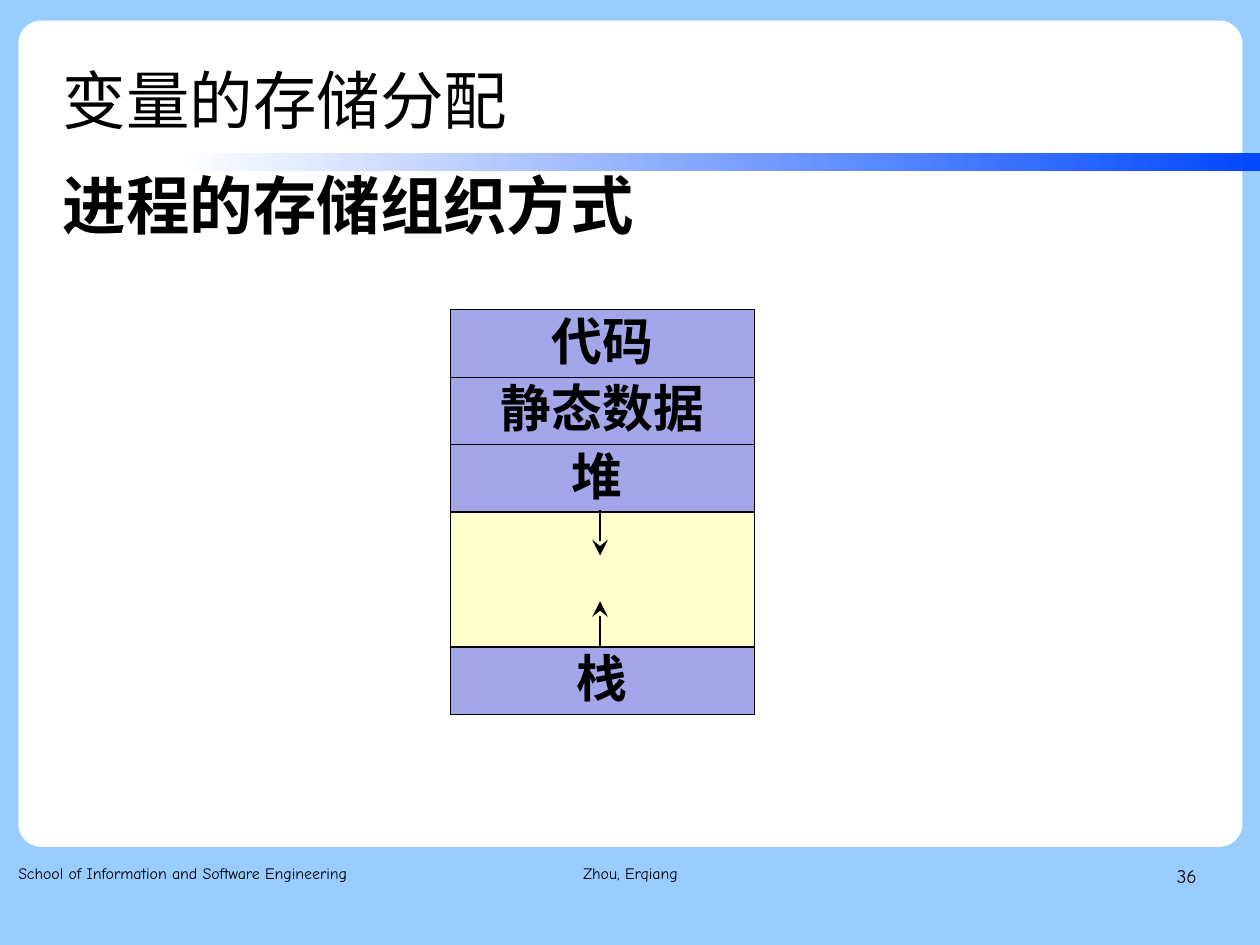
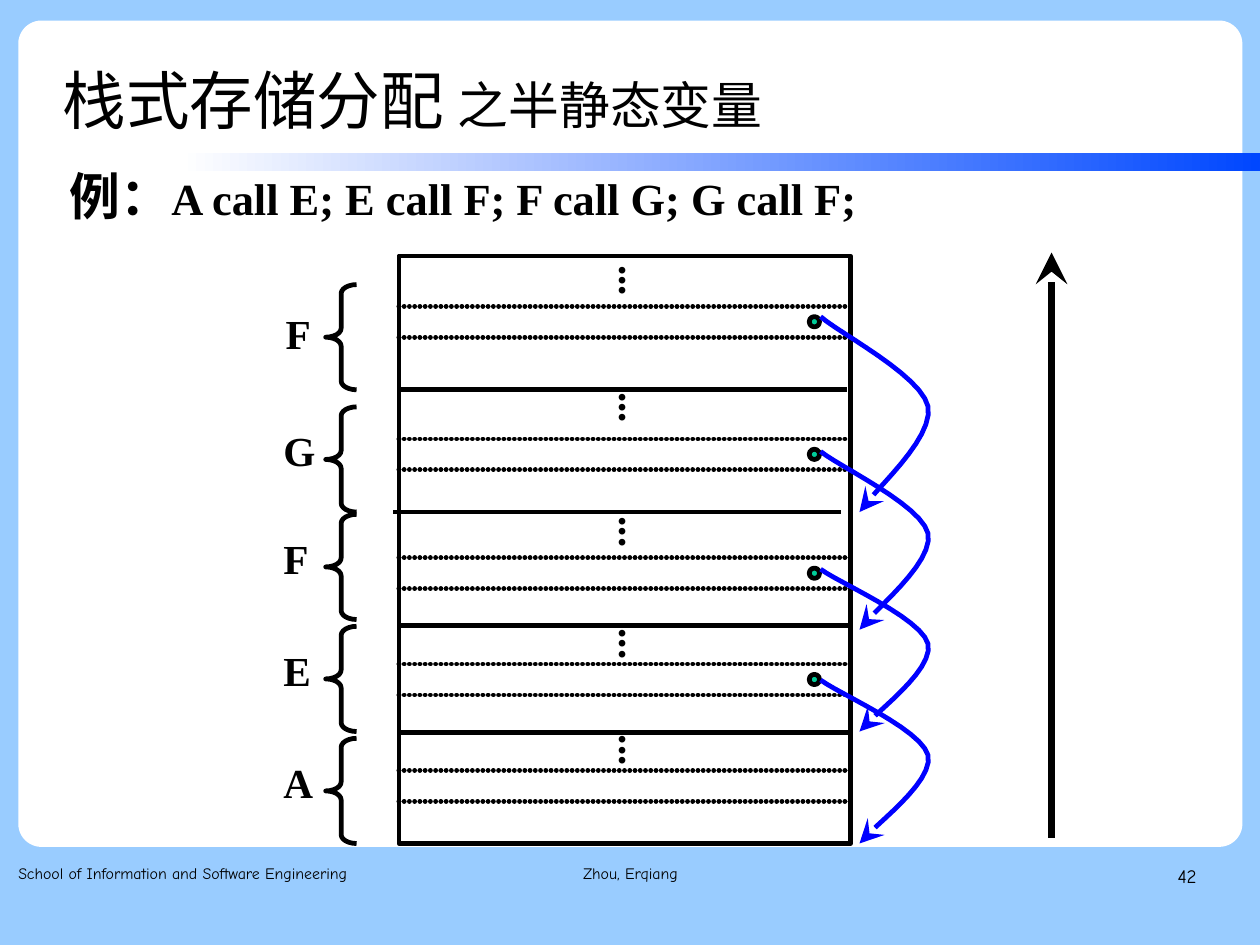
from lxml import etree
from pptx import Presentation
from pptx.dml.color import RGBColor
from pptx.enum.shapes import MSO_CONNECTOR, MSO_SHAPE
from pptx.enum.text import MSO_ANCHOR, PP_ALIGN
from pptx.oxml.ns import qn
from pptx.util import Inches, Pt

RECT, ROUNDED = MSO_SHAPE.RECTANGLE, MSO_SHAPE.ROUNDED_RECTANGLE
BRACE, OVAL = MSO_SHAPE.LEFT_BRACE, MSO_SHAPE.OVAL
STRAIGHT = MSO_CONNECTOR.STRAIGHT
LEFT, CENTER, RIGHT = PP_ALIGN.LEFT, PP_ALIGN.CENTER, PP_ALIGN.RIGHT
TOP, MIDDLE = MSO_ANCHOR.TOP, MSO_ANCHOR.MIDDLE

CM_PER_INCH = 2.54
COLORS = {
    "background": "99CCFF", "panel": "FFFFFF", "band": "0047FF",
    "ink": "000000", "segment": "A5A5E9", "free": "FFFFCC",
    "pointer": "00CC99", "link": "0000FF",
}
CJK, SERIF, TITLE_FONT, FOOTER_FONT = (
    "Noto Sans CJK SC", "Times New Roman", "Arial", "Comic Neue")


def rgb(name):
    return RGBColor.from_string(COLORS[name])


def write(shape, runs, align=LEFT, anchor=TOP, margins=(0, 0), spacing=1.0,
          wrap=True, bold=False):
    """Fill a shape with one paragraph of (text, size, font) runs."""
    frame = shape.text_frame
    frame.word_wrap = wrap
    frame.vertical_anchor = anchor
    frame.margin_left = frame.margin_right = Inches(margins[0])
    frame.margin_top = frame.margin_bottom = Inches(margins[1])
    paragraph = frame.paragraphs[0]
    paragraph.alignment = align
    paragraph.line_spacing = spacing
    for text, size, font in runs:
        run = paragraph.add_run()
        run.text = text
        run.font.size, run.font.name, run.font.bold = Pt(size), font, bold
        run.font.color.rgb = rgb("ink")
        east_asian = etree.SubElement(run.font._element, qn("a:ea"))
        east_asian.set("typeface", CJK)


def add_text(slide, box, runs, **style):
    label = slide.shapes.add_textbox(*map(Inches, box))
    write(label, runs, **style)
    return label


def set_line(shape, color, width):
    shape.line.color.rgb = rgb(color)
    shape.line.width = Pt(width)


def add_block(slide, kind, box, fill=None, width=None):
    block = slide.shapes.add_shape(kind, *map(Inches, box))
    block.shadow.inherit = False
    if fill:
        block.fill.solid()
        block.fill.fore_color.rgb = rgb(fill)
    else:
        block.fill.background()
    if width:
        set_line(block, "ink", width)
    else:
        block.line.fill.background()
    return block


def add_arrowhead(shape):
    outline = shape._element.spPr.find(qn("a:ln"))
    etree.SubElement(outline, qn("a:tailEnd"), type="stealth", w="lg", len="lg")


def add_dots(line):
    """Give a line closely set round dots."""
    outline = line._element.spPr.find(qn("a:ln"))
    outline.set("cap", "rnd")
    dashes = etree.SubElement(outline, qn("a:custDash"))
    etree.SubElement(dashes, qn("a:ds"), d="100000", sp="10000")


def add_line(slide, start, end, width, dotted=False, arrow=False):
    line = slide.shapes.add_connector(STRAIGHT, *map(Inches, (*start, *end)))
    set_line(line, "ink", width)
    if dotted:
        add_dots(line)
    if arrow:
        add_arrowhead(line)
    etree.SubElement(line._element.spPr, qn("a:effectLst"))


def base_slide(prs, title_runs, number):
    """Add a slide with the shared panel, band, title and footer."""
    slide = prs.slides.add_slide(prs.slide_layouts[6])
    slide.background.fill.solid()
    slide.background.fill.fore_color.rgb = rgb("background")
    panel = add_block(slide, ROUNDED, (0.16, 0.18, 10.71, 7.23), "panel")
    panel.adjustments[0] = 0.028

    band = add_block(slide, RECT, (1.57, 1.34, 9.45, 0.16))
    band.fill.gradient()
    band.fill.gradient_angle = 0
    for stop, position, color in zip(band.fill.gradient_stops, (0, 1), ("panel", "band")):
        stop.position = position
        stop.color.rgb = rgb(color)

    add_text(slide, (0.55, 0.33, 8.58, 1.01),
             [(text, size, TITLE_FONT) for text, size in title_runs],
             anchor=MIDDLE, spacing=1.1)
    footers = (
        (0.16, 3.38, "School of Information and Software Engineering", 10, LEFT),
        (3.77, 3.49, "Zhou, Erqiang", 10, CENTER),
        (7.9, 2.57, str(number), 12, RIGHT),
    )
    for left, width, text, size, align in footers:
        add_text(slide, (left, 7.53, width, 0.57), [(text, size, FOOTER_FONT)],
                 align=align, spacing=1.16)
    return slide


def memory_map(slide, left, top, width, height):
    """Draw process memory as six rows, with heap and stack growing together."""
    row = height / 6
    add_block(slide, RECT, (left, top, width, height), "free", 0.75)
    for index, name in ((0, "代码"), (1, "静态数据"), (2, "堆 "), (5, "栈")):
        segment = add_block(slide, RECT, (left, top + index * row, width, row),
                            "segment", 0.75)
        write(segment, [(name, 32, SERIF)], align=CENTER, anchor=MIDDLE,
              margins=(0.1, 0.05), spacing=0.93, bold=True)
    middle = left + width / 2 - 0.02
    for start, step in ((top + 3 * row - 0.02, 0.4), (top + 5 * row, -0.4)):
        add_line(slide, (middle, start), (middle, start + step), 1.75, arrow=True)


def call_link(slide, left, top, height):
    """Draw an arrow bulging to the right, from two cubic curves."""
    knots = ((0, 0), (0.15, 0.08), (0.88, 0.3), (0.94, 0.46),
             (0.99, 0.63), (0.46, 0.89), (0.34, 1))
    points = []
    for first in (0, 3):
        for step in range(13):
            t = step / 12
            weights = ((1 - t) ** 3, 3 * t * (1 - t) ** 2, 3 * t * t * (1 - t), t ** 3)
            x, y = (sum(w * knot[axis] for w, knot in zip(weights, knots[first:first + 4]))
                    for axis in (0, 1))
            points.append((Inches(left + x), Inches(top + y * height)))
    builder = slide.shapes.build_freeform(*points[0])
    builder.add_line_segments(points[1:], close=False)
    link = builder.convert_to_shape()
    link.shadow.inherit = False
    link.fill.background()
    set_line(link, "link", 3)
    add_arrowhead(link)


def call_stack(slide, left, top, width, height):
    """Draw the frames; each row gives offsets from the top of the stack."""
    add_block(slide, RECT, (left, top, width, height), width=3)
    # name, label x, brace, label y, ellipsis, first dotted line, base line, shift, length
    frames = (
        ("F", -1.1, 0.25, 0.44, -0.03, 0.44, 1.17, 0, 3.92),
        ("G", -1.12, 1.32, 1.46, 1.08, 1.60, 2.24, -0.05, 3.92),
        ("F", -1.12, 2.26, 2.40, 2.17, 2.64, 3.23, 0, width),
        ("E", -1.12, 3.24, 3.38, 3.15, 3.57, 4.17, 0, width),
        ("A", -1.12, 4.22, 4.36, 4.08, 4.50, None, 0, width),
    )
    for name, label_x, brace_y, label_y, dots_y, dotted_y, base_y, shift, length in frames:
        for offset in (dotted_y, dotted_y + 0.27):
            y = top + offset
            add_line(slide, (left, y), (left + length, y), 3, dotted=True)
        if base_y:
            y = top + base_y
            add_line(slide, (left + shift, y), (left + shift + length, y), 3)
        brace = add_block(slide, BRACE, (left - 0.64, top + brace_y, 0.27, 0.92), width=3)
        brace.adjustments[0] = 0.29
        add_text(slide, (left + label_x, top + label_y, 0.48, 0.51), [(name, 26, SERIF)],
                 margins=(0.11, 0.06), spacing=0.93, wrap=False, bold=True)
        dots = add_text(slide, (left + 1.69, top + dots_y, 0.62, 0.38),
                        [("...", 26, SERIF)], margins=(0.06, 0.11),
                        spacing=0.93, wrap=False, bold=True)
        dots.text_frame._txBody.bodyPr.set("vert", "eaVert")

    # pointer, link start, link height
    links = ((0.53, 0.53, 1.71), (1.69, 1.71, 1.56), (2.73, 2.74, 1.42), (3.66, 3.71, 1.43))
    for pointer_y, link_y, link_height in links:
        add_block(slide, OVAL, (left + 3.59, top + pointer_y, 0.09, 0.09), "pointer", 3)
        call_link(slide, left + 3.69, top + link_y, link_height)


def storage_slide(prs):
    slide = base_slide(prs, [("变量的存储分配", 40)], 36)
    add_text(slide, (0.55, 1.48, 9.92, 5.71), [("进程的存储组织方式", 40, CJK)],
             margins=(0, 0.02), spacing=0.95, bold=True)
    memory_map(slide, 3.94, 2.71, 2.66, 3.54)


def stack_slide(prs):
    slide = base_slide(prs, [("栈式存储分配 ", 40), ("之半静态变量", 32)], 42)
    add_text(slide, (0.5, 1.43, 9.1, 0.61),
             [("例：", 32, CJK), ("A call E; E call F; F call G; G call F;", 28, SERIF)],
             margins=(0.11, 0.06), spacing=0.93, bold=True)
    call_stack(slide, 3.49, 2.24, 3.95, 5.14)
    add_line(slide, (9.2, 7.33), (9.2, 2.21), 4, arrow=True)


def main():
    prs = Presentation()
    prs.slide_width = Inches(28 / CM_PER_INCH)
    prs.slide_height = Inches(21 / CM_PER_INCH)
    storage_slide(prs)
    stack_slide(prs)
    prs.save("out.pptx")


if __name__ == "__main__":
    main()
